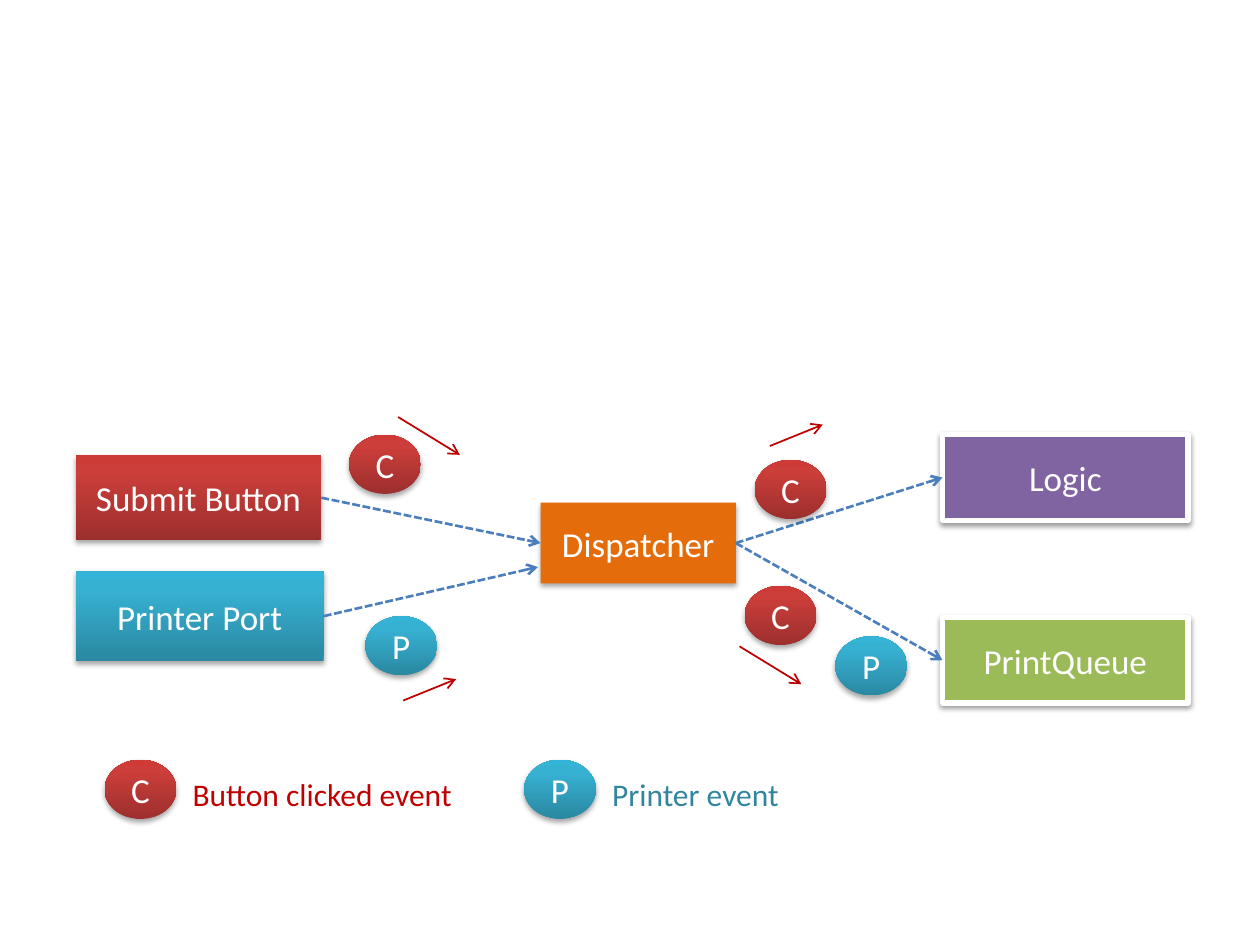
from lxml.etree import SubElement
from pptx import Presentation
from pptx.dml.color import RGBColor
from pptx.enum.dml import MSO_LINE
from pptx.enum.shapes import MSO_CONNECTOR, MSO_SHAPE
from pptx.enum.text import MSO_ANCHOR, MSO_AUTO_SIZE, PP_ALIGN
from pptx.oxml.ns import qn
from pptx.util import Inches, Pt

WHITE = RGBColor(0xFF, 0xFF, 0xFF)
ORANGE = RGBColor(0xE4, 0x6C, 0x0A)
PURPLE = RGBColor(0x80, 0x64, 0xA2)
GREEN = RGBColor(0x9B, 0xBB, 0x59)
LINK_BLUE = RGBColor(0x4B, 0x7E, 0xBC)
DARK_RED = RGBColor(0xC0, 0x00, 0x00)
DARK_TEAL = RGBColor(0x31, 0x85, 0x9C)
# Gradients run from the bottom up
STOPS = (0, 80, 100)
RED = [RGBColor.from_string(c) for c in ("9C2F2D", "CB3E3A", "CE3B37")]
TEAL = [RGBColor.from_string(c) for c in ("2A88A2", "37B1D2", "34B4D6")]

# Columns and standard sizes, in inches
SOURCE_X, DISPATCH_X, TARGET_X = 0.6, 4.29, 7.48
EVENT_SIZE = (0.57, 0.47)
LEGEND_Y, LABEL_DROP, LABEL_GAP = 6.03, 0.07, 0.03
RIGHT, LEFT = 3, 1

# Components: left, top, width, height, fill, white frame
COMPONENTS = {
    "Dispatcher": (DISPATCH_X, 3.99, 1.55, 0.64, ORANGE, False),
    "Printer Port": (SOURCE_X, 4.53, 1.97, 0.72, TEAL, False),
    "Submit Button": (SOURCE_X, 3.61, 1.95, 0.68, RED, False),
    "Logic": (TARGET_X, 3.45, 1.95, 0.68, PURPLE, True),
    "PrintQueue": (TARGET_X, 4.9, 1.95, 0.68, GREEN, True),
}
# Links: from component, to component or free point
LINKS = [
    ("Dispatcher", "Logic"),
    ("Printer Port", (4.27, 4.5)),
    ("Submit Button", "Dispatcher"),
    ("Dispatcher", "PrintQueue"),
]
EVENT_FILLS = {"C": RED, "P": TEAL}
EVENTS = [("C", 2.77, 3.45), ("P", 2.9, 4.89), ("P", 6.63, 5.05),
          ("C", 5.91, 4.65), ("C", 5.99, 3.65)]
# Direction arrows: start point and run
RISING, FALLING = (0.42, -0.17), (0.49, 0.3)
DIRECTIONS = [(3.2, 5.56, RISING), (6.11, 3.54, RISING),
              (5.87, 5.13, FALLING), (3.16, 3.31, FALLING)]
# Legend: event, left, label, label width, colour
LEGEND = [("C", 0.83, "Button clicked event", 2.37, DARK_RED),
          ("P", 4.16, "Printer event", 1.98, DARK_TEAL)]

EVENT_FRAME = dict(margin_left=0, margin_right=0, margin_top=0, margin_bottom=0)


def set_text(holder, text, size, colour, align, **frame_format):
    frame = holder.text_frame
    for name, value in dict(word_wrap=True, **frame_format).items():
        setattr(frame, name, value)
    line = frame.paragraphs[0]
    line.alignment = align
    run = line.add_run()
    run.text = text
    for name, value in dict(name="Calibri", size=Pt(size)).items():
        setattr(run.font, name, value)
    run.font.color.rgb = colour


def add_shadow(shape, alpha, distance):
    shape.shadow.inherit = False
    effects = shape._element.spPr.find(qn("a:effectLst"))
    shadow = SubElement(effects, qn("a:outerShdw"), blurRad=str(Pt(3.1)),
                        dist=str(Pt(distance)), dir="5400000", rotWithShape="0")
    black = SubElement(shadow, qn("a:srgbClr"), val="000000")
    SubElement(black, qn("a:alpha"), val=str(alpha * 1000))


def paint(shape, fill):
    if isinstance(fill, RGBColor):
        shape.fill.solid()
        shape.fill.fore_color.rgb = fill
        return
    shape.fill.gradient()
    shape.fill.gradient_angle = 90
    stops = shape._element.spPr.find(".//" + qn("a:gsLst"))
    for old in list(stops):
        stops.remove(old)
    for position, colour in zip(STOPS, fill):
        stop = SubElement(stops, qn("a:gs"), pos=str(position * 1000))
        SubElement(stop, qn("a:srgbClr"), val=str(colour))


def add_node(slide, kind, text, box, fill, framed=False, **frame_format):
    node = slide.shapes.add_shape(kind, *map(Inches, box))
    paint(node, fill)
    if framed:
        node.line.color.rgb = WHITE
        node.line.width = Pt(3)
    else:
        node.line.fill.background()
    add_shadow(node, *((38, 1.6) if framed else (35, 1.8)))
    set_text(node, text, 20, WHITE, PP_ALIGN.CENTER,
             vertical_anchor=MSO_ANCHOR.MIDDLE, **frame_format)
    return node


def add_event(slide, letter, left, top):
    add_node(slide, MSO_SHAPE.FLOWCHART_CONNECTOR, letter,
             (left, top, *EVENT_SIZE), EVENT_FILLS[letter], **EVENT_FRAME)


def add_arrow(slide, start, end, colour, width, dash=None):
    arrow = slide.shapes.add_connector(
        MSO_CONNECTOR.STRAIGHT, *map(Inches, (*start, *end)))
    arrow.line.color.rgb = colour
    arrow.line.width = Pt(width)
    if dash:
        arrow.line.dash_style = dash
    SubElement(arrow.line._get_or_add_ln(), qn("a:tailEnd"), type="arrow")
    SubElement(arrow._element.spPr, qn("a:effectLst"))
    return arrow


def main():
    deck = Presentation()
    deck.slide_width, deck.slide_height = Inches(10), Inches(7.5)
    slide = deck.slides.add_slide(deck.slide_layouts[6])

    # Components
    nodes = {
        name: add_node(slide, MSO_SHAPE.RECTANGLE, name, box, fill, framed)
        for name, (*box, fill, framed) in COMPONENTS.items()
    }

    # Dashed links between components
    for source, target in LINKS:
        end = (0, 0) if target in nodes else target
        link = add_arrow(slide, (0, 0), end, LINK_BLUE, 1.5, MSO_LINE.SQUARE_DOT)
        link.begin_connect(nodes[source], RIGHT)
        if target in nodes:
            link.end_connect(nodes[target], LEFT)

    # Travelling events and their directions
    for event in EVENTS:
        add_event(slide, *event)
    for x, y, (run, rise) in DIRECTIONS:
        add_arrow(slide, (x, y), (x + run, y + rise), DARK_RED, 1)

    # Legend
    for letter, left, label, width, colour in LEGEND:
        add_event(slide, letter, left, LEGEND_Y)
        label_left = left + EVENT_SIZE[0] + LABEL_GAP
        caption = slide.shapes.add_textbox(*map(
            Inches, (label_left, LEGEND_Y + LABEL_DROP, width, 0.4)))
        set_text(caption, label, 18, colour, PP_ALIGN.LEFT,
                 auto_size=MSO_AUTO_SIZE.SHAPE_TO_FIT_TEXT)

    deck.save("out.pptx")


if __name__ == "__main__":
    main()
